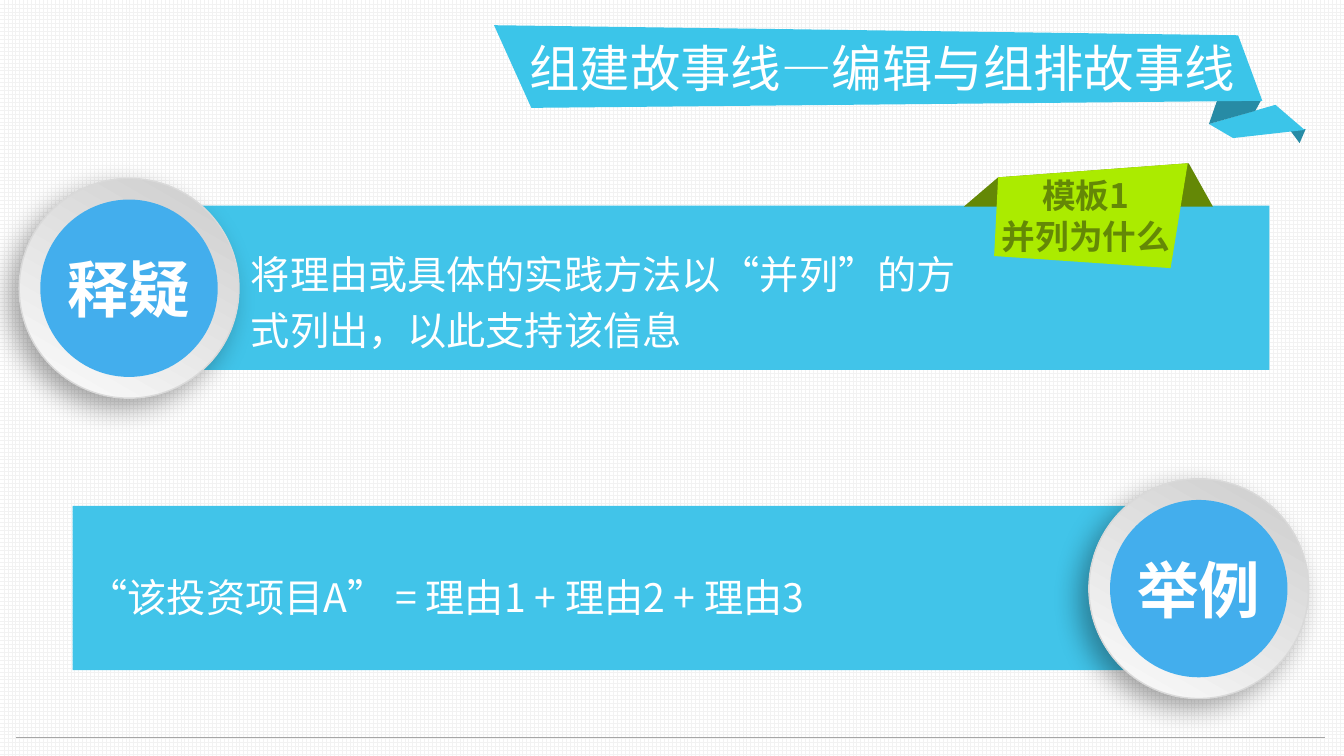
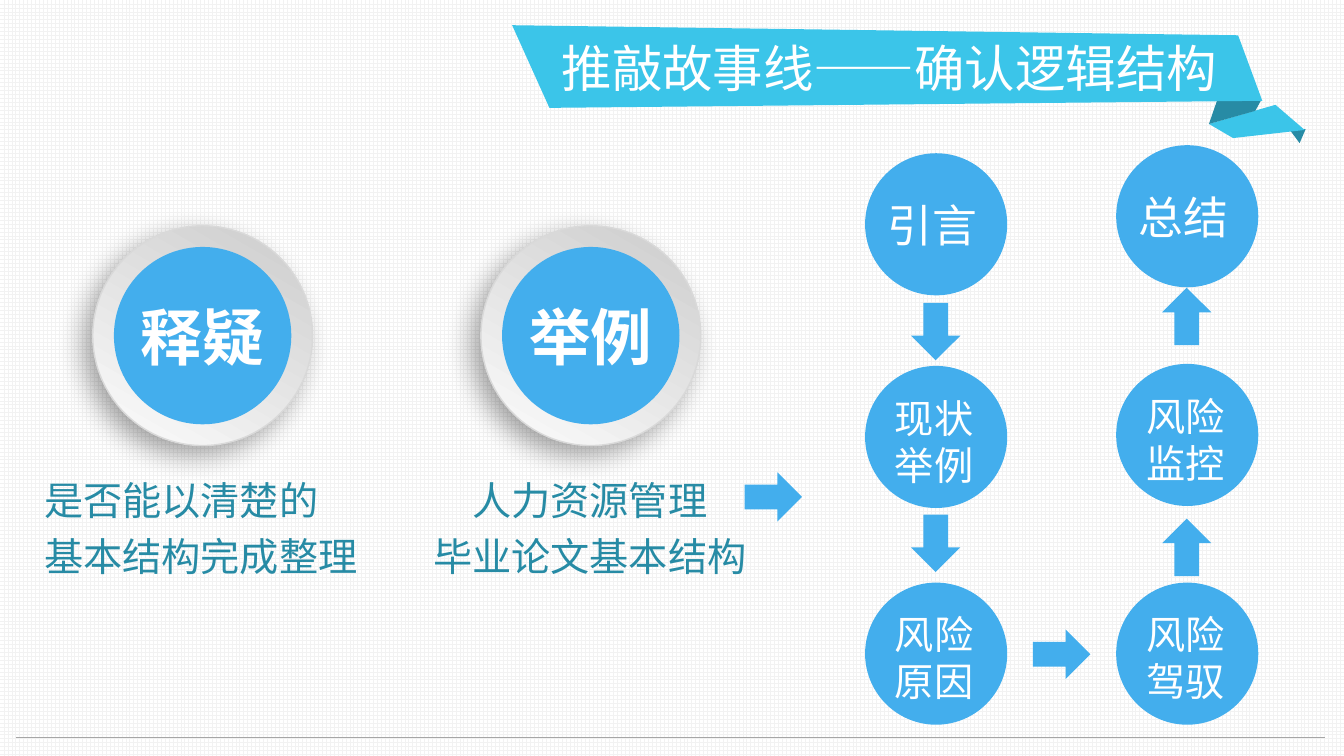
import dataclasses

import lxml.etree
import pptx
import pptx.dml.color
import pptx.enum.dml
import pptx.enum.shapes
import pptx.enum.text
import pptx.oxml.ns
import pptx.util

Inches = pptx.util.Inches
Pt = pptx.util.Pt
qn = pptx.oxml.ns.qn
Kind = pptx.enum.shapes.MSO_SHAPE
Align = pptx.enum.text.PP_ALIGN
Anchor = pptx.enum.text.MSO_ANCHOR


@dataclasses.dataclass(frozen=True)
class Theme:
    """Hold the colours, font and type sizes of the deck."""
    font: str = "Noto Sans CJK SC"
    white: str = "FFFFFF"
    grid: str = "F2F2F2"
    ribbon: str = "3BC5E9"
    teal: str = "278BA5"
    band: str = "41C4E9"
    disc: str = "43AEED"
    lime: str = "ABEB00"
    olive: str = "648806"
    edge: str = "D9D9D9"
    dark: str = "CCCCCC"
    light: str = "FCFCFC"
    rule: str = "A6A6A6"
    title: int = 36
    mark: int = 44
    large: int = 32
    body: int = 28
    tag: int = 24


THEME = Theme()


def rgb(code):
    """Turn a hex code into a colour."""
    return pptx.dml.color.RGBColor.from_string(code)


def write(frame, text, size=THEME.body, color=THEME.white, bold=False,
          align=Align.LEFT, anchor=Anchor.TOP, wrap=True, lead=1.0, pad=None):
    """Fill a text frame, one paragraph to each line of text."""
    frame.auto_size = pptx.enum.text.MSO_AUTO_SIZE.NONE
    frame.word_wrap = wrap
    frame.vertical_anchor = anchor
    left, top, right, base = pad or (0.1, 0.05, 0.1, 0.05)
    frame.margin_left, frame.margin_top = Inches(left), Inches(top)
    frame.margin_right, frame.margin_bottom = Inches(right), Inches(base)
    for i, line in enumerate(text.split("\n")):
        para = frame.add_paragraph() if i else frame.paragraphs[0]
        para.alignment = align
        para.line_spacing = lead
        run = para.add_run()
        run.text = line
        font = run.font
        font.size, font.bold, font.name = Pt(size), bold, THEME.font
        font.color.rgb = rgb(color)
        east = lxml.etree.Element(qn("a:ea"), typeface=THEME.font)
        run._r.rPr.find(qn("a:latin")).addnext(east)


def label(slide, x, y, w, h, text, **style):
    """Add a text box."""
    box = slide.shapes.add_textbox(Inches(x), Inches(y), Inches(w), Inches(h))
    write(box.text_frame, text, **style)


def paint(shape, color):
    """Give a shape a flat fill with no line or shadow."""
    shape.shadow.inherit = False
    shape.fill.solid()
    shape.fill.fore_color.rgb = rgb(color)
    shape.line.fill.background()


def block(slide, kind, x, y, w, h, color):
    """Add a flat preset shape."""
    shape = slide.shapes.add_shape(
        kind, Inches(x), Inches(y), Inches(w), Inches(h))
    paint(shape, color)
    return shape


def facet(slide, x, y, points, color):
    """Add a flat polygon with points measured from x and y."""
    spots = [(Inches(x + dx), Inches(y + dy)) for dx, dy in points]
    form = slide.shapes.build_freeform(*spots[0])
    form.add_line_segments(spots[1:], close=True)
    paint(form.convert_to_shape(), color)


def ribbon(slide, x, y, w):
    """Draw the folded title ribbon, its folds hung from the right end."""
    end = x + w
    facet(slide, end, y, [(-0.15, 1.05), (-0.06, 1.17), (0, 1.03)], THEME.teal)
    facet(slide, end, y, [(-0.3, 0.79), (-0.96, 0.98), (-0.72, 1.12),
                          (-0.01, 1.04)], THEME.ribbon)
    facet(slide, end, y, [(-0.44, 0.74), (-0.88, 0.75), (-0.96, 0.98),
                          (-0.5, 0.85)], THEME.teal)
    facet(slide, end, y, [(-0.67, 0.1), (-w, 0), (0.37 - w, 0.82),
                          (-0.43, 0.75)], THEME.ribbon)


def start(deck, text, left, inset):
    """Add a slide with its ribbon, title and base rule."""
    slide = deck.slides.add_slide(deck.slide_layouts[5])
    ribbon(slide, left, 0.25, 12.95 - left)
    title = slide.shapes.title
    title.left, title.top = Inches(left + inset), Inches(0.32)
    title.width, title.height = Inches(7.24), Inches(0.71)
    write(title.text_frame, text, size=THEME.title)
    title._element.getparent().append(title._element)
    rule = slide.shapes.add_connector(
        pptx.enum.shapes.MSO_CONNECTOR.STRAIGHT,
        Inches(0.16), Inches(7.32), Inches(13.14), Inches(7.32))
    rule.line.color.rgb = rgb(THEME.rule)
    rule.line.width = Pt(0.75)
    lxml.etree.SubElement(rule._element.spPr, qn("a:effectLst"))
    return slide


def badge(slide, x, y, text):
    """Draw a shaded ring round a disc that bears a bold word."""
    ring = block(slide, Kind.OVAL, x, y, 2.18, 2.18, THEME.light)
    ring.fill.gradient()
    ring.fill.gradient_angle = 240
    for stop, color in zip(ring.fill.gradient_stops, (THEME.dark, THEME.light)):
        stop.color.rgb = rgb(color)
    ring.line.color.rgb = rgb(THEME.edge)
    ring.line.width = Pt(1)
    cast = lxml.etree.SubElement(
        ring._element.spPr.find(qn("a:effectLst")), qn("a:outerShdw"),
        blurRad=str(Pt(20)), dist=str(Pt(10)), dir=str(136 * 60000),
        algn="ctr", rotWithShape="0")
    tint = lxml.etree.SubElement(cast, qn("a:srgbClr"), val="000000")
    lxml.etree.SubElement(tint, qn("a:alpha"), val="34000")
    disc = block(slide, Kind.OVAL, x + 0.21, y + 0.21, 1.76, 1.76, THEME.disc)
    write(disc.text_frame, text, size=THEME.mark, bold=True, wrap=False,
          align=Align.CENTER, anchor=Anchor.MIDDLE)


def panel(slide, x, y, shift, mark, text, dx, dy):
    """Draw a band with a badge at one end and text inside."""
    block(slide, Kind.RECTANGLE, x, y, 11.11, 1.63, THEME.band)
    badge(slide, x + shift, y - 0.27, mark)
    label(slide, x + dx, y + dy, 10.01, 1.18, text, lead=1.2)


def flag(slide, x, y, text):
    """Draw the green folded flag with its two lines."""
    facet(slide, x, y, [(0.34, 0.14), (2.23, 0), (2.47, 0.43), (0, 0.43)],
          THEME.olive)
    facet(slide, x, y, [(0.34, 0.14), (2.22, 0), (2.05, 1.04), (0.3, 0.92)],
          THEME.lime)
    label(slide, x + 0.27, y + 0.07, 1.88, 0.91, text, size=THEME.tag,
          color=THEME.olive, bold=True, align=Align.CENTER, wrap=False)


def node(slide, x, y, text):
    """Draw one step of the flow."""
    disc = block(slide, Kind.OVAL, x, y, 1.41, 1.41, THEME.disc)
    double = "\n" in text
    write(disc.text_frame, text,
          size=THEME.body if double else THEME.large, wrap=False,
          align=Align.CENTER, anchor=Anchor.MIDDLE,
          pad=(0, 0.08, 0.04, 0) if double else (0, 0, 0.08, 0))


def arrow(slide, kind, x, y):
    """Draw a block arrow centred on a point."""
    w, h = (0.57, 0.49) if kind == Kind.RIGHT_ARROW else (0.49, 0.57)
    block(slide, kind, x - w / 2, y - h / 2, w, h, THEME.disc)


def flow(slide, x, y):
    """Draw the path that runs down one column and up the next."""
    far = 2.49
    steps = [(0, 0.08, "引言"), (0, 2.19, "现状\n举例"), (0, 4.34, "风险\n原因"),
             (far, 4.34, "风险\n驾驭"), (far, 2.17, "风险\n监控"), (far, 0, "总结")]
    for dx, dy, text in steps:
        node(slide, x + dx, y + dy, text)
    mid = 0.7
    links = [(Kind.DOWN_ARROW, mid, 1.85), (Kind.DOWN_ARROW, mid, 3.95),
             (Kind.RIGHT_ARROW, 1.95, 5.05), (Kind.UP_ARROW, far + mid, 3.99),
             (Kind.UP_ARROW, far + mid, 1.7)]
    for kind, dx, dy in links:
        arrow(slide, kind, x + dx, y + dy)


def topic(slide, x, y, mark, text, dx, align):
    """Draw a badge with a caption below it."""
    badge(slide, x, y, mark)
    label(slide, x + dx, y + 2.34, 3.34, 1.18, text, color=THEME.teal,
          align=align, wrap=False, lead=1.2)


def compose(deck):
    """Build the slide on arranging the storyline."""
    slide = start(deck, "组建故事线—编辑与组排故事线", 4.9, 0.25)
    panel(slide, 1.48, 2.04, -1.29, "释疑",
          "将理由或具体的实践方法以“并列”的方\n式列出，以此支持该信息", 0.91, 0.3)
    panel(slide, 0.72, 5.02, 10.08, "举例",
          "“该投资项目A” = 理由1 + 理由2 + 理由3", 0.06, 0.52)
    flag(slide, 9.56, 1.62, "模板1\n并列为什么")


def refine(deck):
    """Build the slide on checking the logic."""
    slide = start(deck, "推敲故事线——确认逻辑结构", 5.08, 0.39)
    topic(slide, 0.92, 2.24, "释疑", "是否能以清楚的\n基本结构完成整理",
          -0.58, Align.LEFT)
    topic(slide, 4.77, 2.24, "举例", "人力资源管理\n毕业论文基本结构",
          -0.59, Align.CENTER)
    arrow(slide, Kind.RIGHT_ARROW, 7.67, 4.93)
    flow(slide, 8.58, 1.44)


def main():
    """Build and save the deck."""
    deck = pptx.Presentation()
    deck.slide_width, deck.slide_height = Inches(13.33), Inches(7.5)
    fill = deck.slide_master.background.fill
    fill.patterned()
    fill.pattern = pptx.enum.dml.MSO_PATTERN.LARGE_GRID
    fill.fore_color.rgb = rgb(THEME.grid)
    fill.back_color.rgb = rgb(THEME.white)
    compose(deck)
    refine(deck)
    deck.save("out.pptx")


if __name__ == "__main__":
    main()
